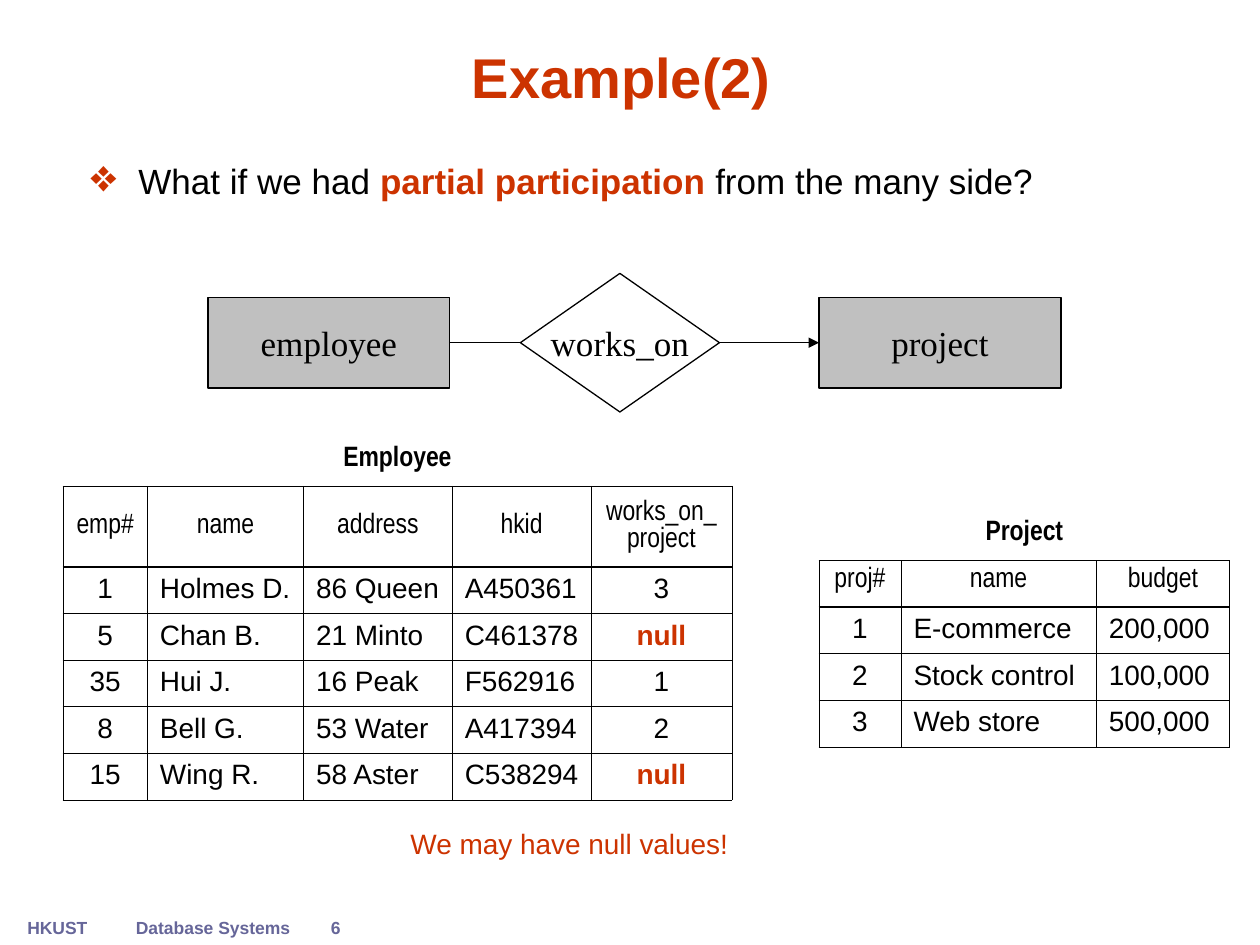
from dataclasses import dataclass

from lxml import etree
from pptx import Presentation
from pptx.dml.color import RGBColor
from pptx.enum.shapes import MSO_CONNECTOR, MSO_SHAPE
from pptx.enum.text import MSO_ANCHOR, MSO_AUTO_SIZE, PP_ALIGN
from pptx.oxml.ns import qn
from pptx.util import Inches, Pt

LEFT, CENTER = PP_ALIGN.LEFT, PP_ALIGN.CENTER
TOP, MIDDLE, BOTTOM = MSO_ANCHOR.TOP, MSO_ANCHOR.MIDDLE, MSO_ANCHOR.BOTTOM
FIXED, GROW = MSO_AUTO_SIZE.NONE, MSO_AUTO_SIZE.SHAPE_TO_FIT_TEXT
STRAIGHT = MSO_CONNECTOR.STRAIGHT
BOX, DIAMOND = MSO_SHAPE.FLOWCHART_PROCESS, MSO_SHAPE.FLOWCHART_DECISION
BLACK, WHITE, GRAY = "000000", "FFFFFF", "C0C0C0"
RED, SLATE = "CC3300", "666699"
SANS, NARROW, SERIF = "Arial", "Arial Narrow", "Times New Roman"
THIN, THICK, ROW = 0.45, 1.08, 0.37


@dataclass
class Label:
    text: str
    at: tuple[float, float, float, float]
    size: float
    color: str
    bold: bool = False
    align: PP_ALIGN = LEFT
    wrap: bool = True


@dataclass
class Node:
    text: str
    kind: MSO_SHAPE
    at: tuple[float, float, float, float]
    fill: str


@dataclass
class Grid:
    name: str
    left: float
    top: float
    cols: list[float]
    centred: set[int]
    head: list[str]
    rows: list[list[str]]
    tall: float = ROW
    anchor: MSO_ANCHOR = TOP


LABELS = [
    Label("HKUST", (0.08, 7.23, 0.75, 0.27), 10, SLATE, True, CENTER, False),
    Label("6", (2.23, 7.23, 0.87, 0.27), 10, SLATE, True, CENTER, False),
    Label("Database Systems", (0.98, 7.23, 1.42, 0.27), 10, SLATE, True, LEFT, False),
    Label("We may have null values!", (3.16, 6.51, 3, 0.37), 16, RED),
]
NODES = [
    Node("employee", BOX, (1.65, 2.36, 1.92, 0.72), GRAY),
    Node("works_on", DIAMOND, (4.13, 2.17, 1.58, 1.1), WHITE),
    Node("project", BOX, (6.5, 2.36, 1.92, 0.72), GRAY),
]
GRIDS = [
    Grid("Employee", 0.5, 3.49, [0.67, 1.24, 1.18, 1.1, 1.12], {0, 4},
         ["emp#", "name", "address", "hkid", "works_on_project"],
         [["1", "Holmes D.", "86 Queen", "A450361", "3"],
          ["5", "Chan B.", "21 Minto", "C461378", "null"],
          ["35", "Hui J.", "16 Peak", "F562916", "1"],
          ["8", "Bell G.", "53 Water", "A417394", "2"],
          ["15", "Wing R.", "58 Aster", "C538294", "null"]],
         tall=0.64, anchor=MIDDLE),
    Grid("Project", 6.5, 4.08, [0.65, 1.55, 1.06], {0},
         ["proj#", "name", "budget"],
         [["1", "E-commerce", "200,000"],
          ["2", "Stock control", "100,000"],
          ["3", "Web store", "500,000"]]),
]


def rgb(color: str) -> RGBColor:
    return RGBColor.from_string(color)


def inches(at: tuple) -> list:
    return [Inches(v) for v in at]


def write(para, text: str, *, size: float, font: str = SANS, color: str = BLACK,
          bold: bool = False, align: PP_ALIGN = LEFT) -> None:
    """Add a run to the paragraph."""
    para.alignment = align
    run = para.add_run()
    run.text = text
    run.font.name, run.font.size, run.font.bold = font, Pt(size), bold
    run.font.color.rgb = rgb(color)


def add_title(slide, text: str) -> None:
    title = slide.shapes.title
    title.left, title.top, title.width, title.height = inches((0.58, 0.25, 8.83, 0.67))
    frame = title.text_frame
    frame.auto_size, frame.vertical_anchor = FIXED, BOTTOM
    write(frame.paragraphs[0], text, size=32, color=RED, bold=True, align=CENTER)


def add_bullet(slide) -> None:
    frame = slide.shapes.add_textbox(*inches((0.62, 1.22, 8.58, 5.33))).text_frame
    frame.word_wrap = True
    para = frame.paragraphs[0]
    props = para._p.get_or_add_pPr()
    props.set("marL", str(Inches(0.38)))
    props.set("indent", str(-Inches(0.38)))
    tint = etree.SubElement(props, qn("a:buClr"))
    etree.SubElement(tint, qn("a:srgbClr"), val=RED)
    etree.SubElement(props, qn("a:buSzPct"), val="130000")
    etree.SubElement(props, qn("a:buChar"), char="❖")
    write(para, "What if we had ", size=20)
    write(para, "partial participation ", size=20, color=RED, bold=True)
    write(para, "from the many side?", size=20)


def add_label(slide, label: Label) -> None:
    frame = slide.shapes.add_textbox(*inches(label.at)).text_frame
    frame.word_wrap, frame.auto_size = label.wrap, GROW
    write(frame.paragraphs[0], label.text, size=label.size, color=label.color,
          bold=label.bold, align=label.align)


def add_node(slide, node: Node):
    shape = slide.shapes.add_shape(node.kind, *inches(node.at))
    shape.shadow.inherit = False
    shape.fill.solid()
    shape.fill.fore_color.rgb = rgb(node.fill)
    shape.line.color.rgb, shape.line.width = rgb(BLACK), Pt(0.75)
    frame = shape.text_frame
    frame.word_wrap, frame.vertical_anchor = False, MIDDLE
    write(frame.paragraphs[0], node.text, size=20, font=SERIF, align=CENTER)
    return shape


def join(slide, start, end, arrow: bool = False) -> None:
    """Draw a line from the right side of one node to the left of the next."""
    line = slide.shapes.add_connector(STRAIGHT, 0, 0, 0, 0)
    line.begin_connect(start, 3)
    line.end_connect(end, 1)
    line.line.color.rgb, line.line.width = rgb(BLACK), Pt(0.75)
    if arrow:
        etree.SubElement(line.line._get_or_add_ln(), qn("a:tailEnd"), type="triangle")
    etree.SubElement(line._element.spPr, qn("a:effectLst"))


def frame_cell(cell, left: float, right: float, top: float, bottom: float) -> None:
    """Clear the fill and set border widths in points; 0 means no border."""
    cell.fill.background()
    props = cell._tc.get_or_add_tcPr()
    for i, (side, width) in enumerate(zip("LRTB", (left, right, top, bottom))):
        edge = etree.Element(qn(f"a:ln{side}"), w=str(Pt(width)))
        if width:
            fill = etree.SubElement(edge, qn("a:solidFill"))
            etree.SubElement(fill, qn("a:srgbClr"), val=BLACK)
        else:
            etree.SubElement(edge, qn("a:noFill"))
        props.insert(i, edge)


def add_grid(slide, grid: Grid) -> None:
    count = len(grid.cols)
    highs = [ROW, grid.tall] + [ROW] * len(grid.rows)
    at = inches((grid.left, grid.top, sum(grid.cols), sum(highs)))
    table = slide.shapes.add_table(len(highs), count, *at).table
    table.first_row = table.horz_banding = False
    for col, width in zip(table.columns, grid.cols):
        col.width = Inches(width)
    for row, high in zip(table.rows, highs):
        row.height = Inches(high)
    table.cell(0, 0).merge(table.cell(0, count - 1))

    title = [grid.name] + [""] * (count - 1)
    for r, texts in enumerate([title, grid.head] + grid.rows):
        for c, text in enumerate(texts):
            cell = table.cell(r, c)
            side = THIN if r else 0
            top = THICK if r == 2 else side
            frame_cell(cell, side, side, top, THICK if r == 1 else THIN)
            if not text:
                continue
            null = text == "null"
            if r == 1:
                cell.vertical_anchor = grid.anchor
            write(cell.text_frame.paragraphs[0], text, size=16,
                  font=NARROW if r < 2 else SANS,
                  color=RED if null else BLACK, bold=null or r == 0,
                  align=CENTER if r < 2 or c in grid.centred else LEFT)


def main() -> None:
    deck = Presentation()
    deck.slide_width, deck.slide_height = Inches(10), Inches(7.5)
    slide = deck.slides.add_slide(deck.slide_layouts[5])
    add_title(slide, "Example(2) ")
    add_bullet(slide)
    for grid in GRIDS:
        add_grid(slide, grid)
    worker, link, job = [add_node(slide, node) for node in NODES]
    join(slide, worker, link)
    join(slide, link, job, arrow=True)
    for label in LABELS:
        add_label(slide, label)
    deck.save("out.pptx")


if __name__ == "__main__":
    main()
